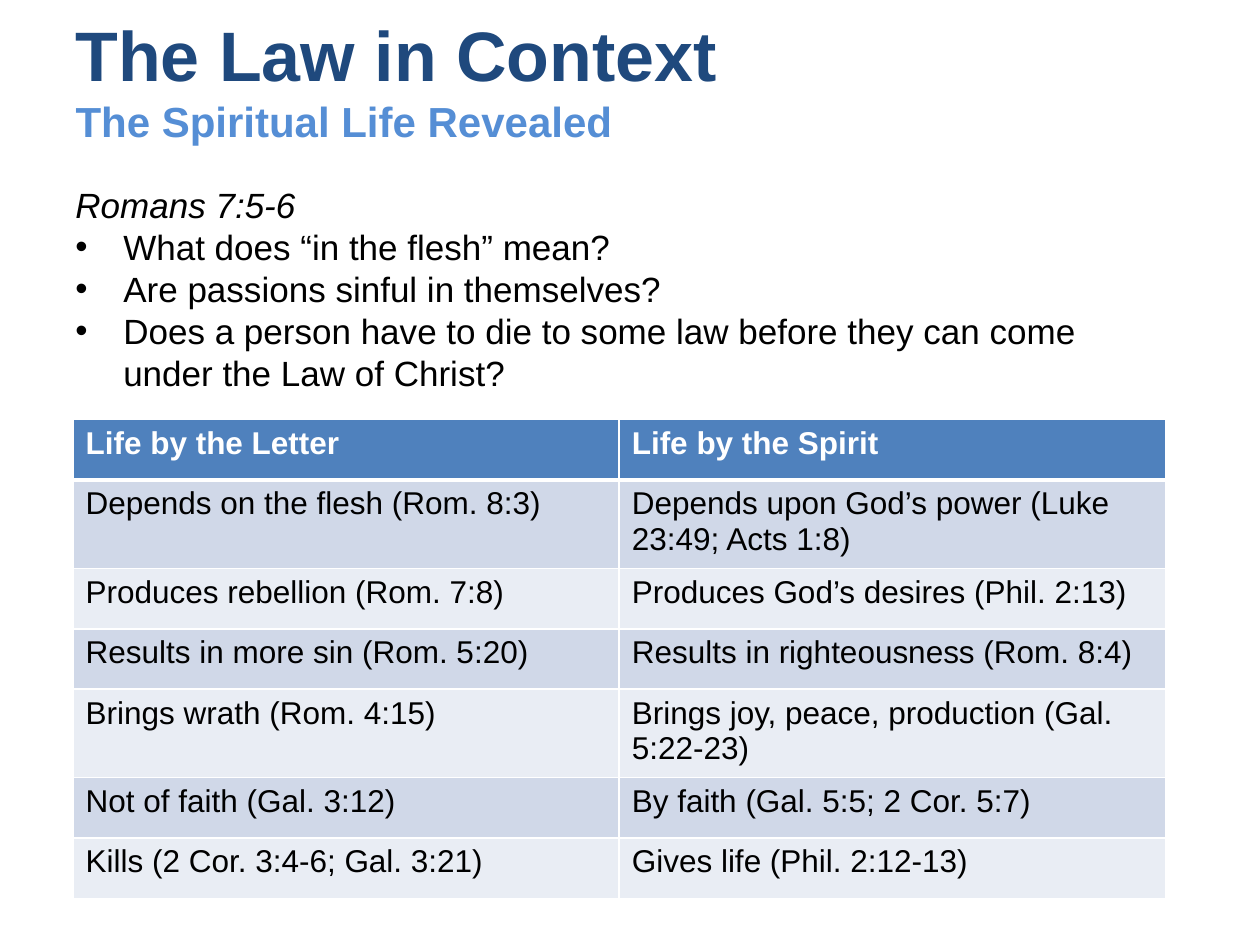
import dataclasses

import pptx
import pptx.dml.color
import pptx.enum.text
import pptx.oxml.ns
import pptx.util
from lxml import etree


@dataclasses.dataclass(frozen=True)
class Theme:
    font: str = "Arial"
    title: str = "1F497D"
    subtitle: str = "558ED5"
    text: str = "000000"
    white: str = "FFFFFF"
    header: str = "4F81BD"
    bands: tuple = ("D0D8E8", "E9EDF4")
    title_size: int = 40
    subtitle_size: int = 24
    body_size: int = 20
    body_leading: int = 24
    table_size: int = 18
    rule: int = 1
    header_rule: int = 3


THEME = Theme()
WIDTH, HEIGHT = 10, 7.5

# Boxes: left, top, width, height in inches
TITLE_BOX = (0.05 * WIDTH, 0, 0.9 * WIDTH, HEIGHT / 6)
QUESTIONS_BOX = (0.05 * WIDTH, 1.41, 0.875 * WIDTH, 2.12)
TABLE_BOX = (0.58, 3.33, 8.67, 3.36)

QUESTIONS = [
    "What does “in the flesh” mean?",
    "Are passions sinful in themselves?",
    "Does a person have to die to some law before they can come under the Law of Christ?",
]
CONTRASTS = [
    ("Life by the Letter", "Life by the Spirit"),
    ("Depends on the flesh (Rom. 8:3)", "Depends upon God’s power (Luke 23:49; Acts 1:8)"),
    ("Produces rebellion (Rom. 7:8)", "Produces God’s desires (Phil. 2:13)"),
    ("Results in more sin (Rom. 5:20)", "Results in righteousness (Rom. 8:4)"),
    ("Brings wrath (Rom. 4:15)", "Brings joy, peace, production (Gal. 5:22-23)"),
    ("Not of faith (Gal. 3:12)", "By faith (Gal. 5:5; 2 Cor. 5:7)"),
    ("Kills (2 Cor. 3:4-6; Gal. 3:21)", "Gives life (Phil. 2:12-13)"),
]


def inches(box):
    return [pptx.util.Inches(length) for length in box]


def color(code):
    return pptx.dml.color.RGBColor.from_string(code)


def add_span(para, text, size, code, bold=False, italic=False):
    span = para.add_run()
    span.text = text
    span.font.name = THEME.font
    span.font.size = pptx.util.Pt(size)
    span.font.color.rgb = color(code)
    span.font.bold = bold
    span.font.italic = italic


def add_bullet(para, indent=0.38):
    properties = para._p.get_or_add_pPr()
    hang = pptx.util.Inches(indent)
    properties.set("marL", str(hang))
    properties.set("indent", str(-hang))
    font = etree.SubElement(properties, pptx.oxml.ns.qn("a:buFont"))
    font.set("typeface", THEME.font)
    etree.SubElement(properties, pptx.oxml.ns.qn("a:buChar")).set("char", "•")


def set_borders(cell, widths):
    """Draw white borders; widths are points for left, right, top, bottom."""
    properties = cell._tc.get_or_add_tcPr()
    for place, (side, width) in enumerate(zip("LRTB", widths)):
        line = etree.Element(pptx.oxml.ns.qn(f"a:ln{side}"), w=str(pptx.util.Pt(width)))
        fill = etree.SubElement(line, pptx.oxml.ns.qn("a:solidFill"))
        etree.SubElement(fill, pptx.oxml.ns.qn("a:srgbClr")).set("val", THEME.white)
        properties.insert(place, line)


def place_title(page, box):
    title = page.shapes.title
    title.left, title.top, title.width, title.height = inches(box)
    frame = title.text_frame
    frame.auto_size = pptx.enum.text.MSO_AUTO_SIZE.NONE
    frame.vertical_anchor = pptx.enum.text.MSO_ANCHOR.MIDDLE
    para = frame.paragraphs[0]
    para.alignment = pptx.enum.text.PP_ALIGN.LEFT
    add_span(para, "The Law in Context", THEME.title_size, THEME.title, bold=True)
    para.add_line_break()
    add_span(para, "The Spiritual Life Revealed", THEME.subtitle_size, THEME.subtitle, bold=True)


def place_questions(page, box):
    frame = page.shapes.add_textbox(*inches(box)).text_frame
    frame.word_wrap = True
    passage = frame.paragraphs[0]
    add_span(passage, "Romans 7:5-6", THEME.body_size, THEME.text, italic=True)
    for question in QUESTIONS:
        para = frame.add_paragraph()
        add_bullet(para)
        add_span(para, question, THEME.body_size, THEME.text)
    for para in frame.paragraphs:
        para.line_spacing = pptx.util.Pt(THEME.body_leading)


def place_contrasts(page, box):
    rows, columns = len(CONTRASTS), len(CONTRASTS[0])
    table = page.shapes.add_table(rows, columns, *inches(box)).table
    for r, texts in enumerate(CONTRASTS):
        header = r == 0
        # The heavy rule is shared by the header and the row below it
        top = THEME.header_rule if r == 1 else THEME.rule
        bottom = THEME.header_rule if header else THEME.rule
        for c, text in enumerate(texts):
            cell = table.cell(r, c)
            cell.fill.solid()
            cell.fill.fore_color.rgb = color(THEME.header if header else THEME.bands[(r - 1) % 2])
            set_borders(cell, (THEME.rule, THEME.rule, top, bottom))
            add_span(cell.text_frame.paragraphs[0], text, THEME.table_size,
                     THEME.white if header else THEME.text, bold=header)


def main():
    deck = pptx.Presentation()
    deck.slide_width, deck.slide_height = inches((WIDTH, HEIGHT))
    page = deck.slides.add_slide(deck.slide_layouts.get_by_name("Title Only"))
    place_title(page, TITLE_BOX)
    place_questions(page, QUESTIONS_BOX)
    place_contrasts(page, TABLE_BOX)
    deck.save("out.pptx")


if __name__ == "__main__":
    main()
